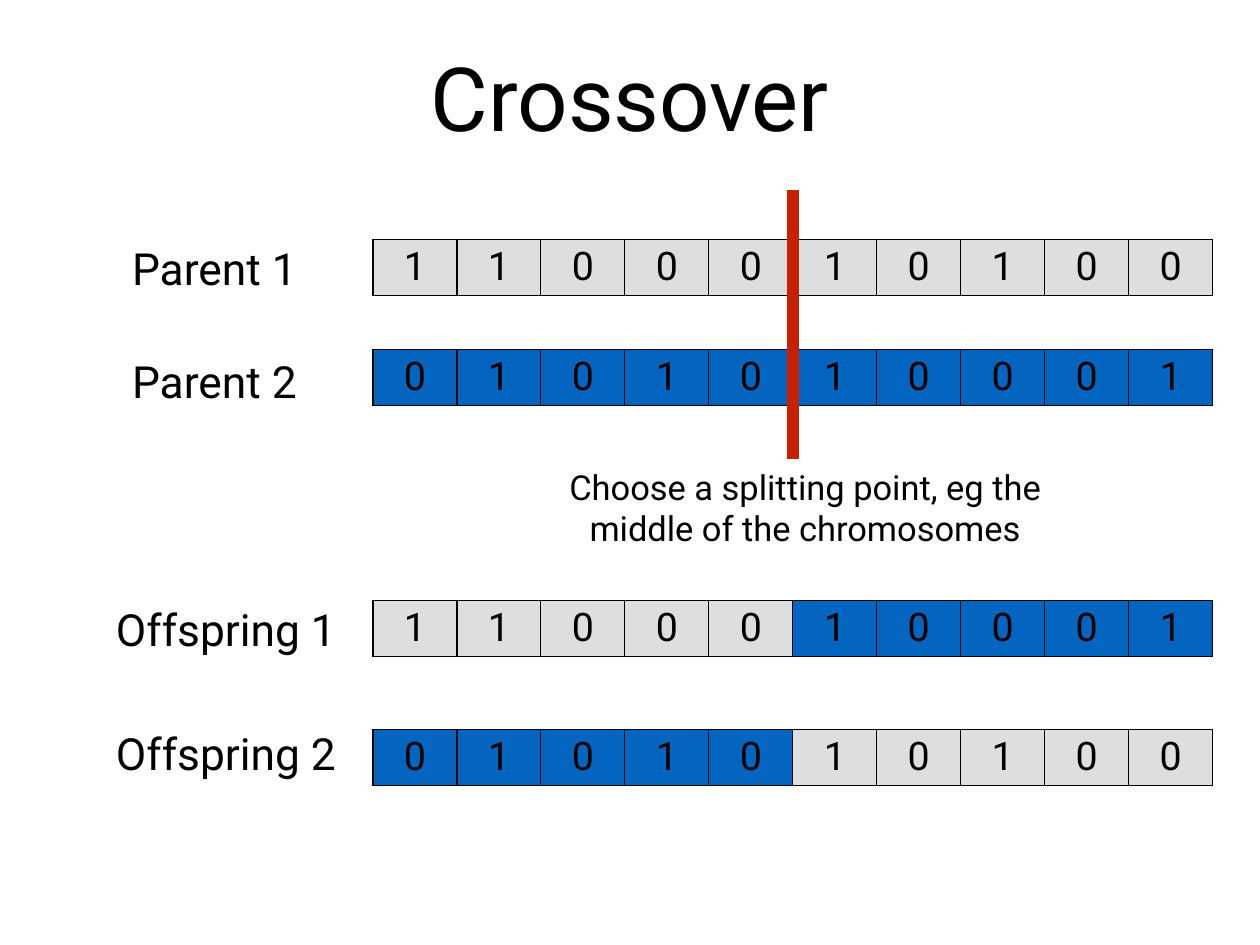
from dataclasses import dataclass

from lxml import etree
from pptx import Presentation
from pptx import util as u
from pptx.dml.color import RGBColor
from pptx.enum import shapes, text
from pptx.oxml import ns

FONT = "Roboto"
BLACK, GREY, BLUE, RED = "000000", "DCDEE0", "0365C0", "C82101"
GENE_WIDTH, GENE_HEIGHT = 0.948, 0.63
CHROMOSOME_LEFT = 4.21
SPLIT = 5


@dataclass(frozen=True)
class Gene:
    bit: str
    fill: str


@dataclass(frozen=True)
class Individual:
    name: str
    genes: list[Gene]
    top: float
    label_left: float
    label_top: float


def color(value: str) -> RGBColor:
    return RGBColor.from_string(value)


def format_paragraph(paragraph, size: float) -> None:
    paragraph.alignment = text.PP_ALIGN.CENTER
    for run in paragraph.runs:
        run.font.name = FONT
        run.font.size = u.Pt(size)
        run.font.color.rgb = color(BLACK)


def add_label(slide, wording: str, left: float, top: float,
              width: float, height: float, size: float) -> None:
    label = slide.shapes.add_textbox(u.Inches(left), u.Inches(top),
                                     u.Inches(width), u.Inches(height))
    frame = label.text_frame
    frame.text = wording
    frame.word_wrap = True
    frame.vertical_anchor = text.MSO_ANCHOR.MIDDLE
    frame.margin_left = frame.margin_right = u.Inches(0.06)
    frame.margin_top = frame.margin_bottom = u.Inches(0.06)
    format_paragraph(frame.paragraphs[0], size)


def add_borders(cell) -> None:
    properties = cell._tc.get_or_add_tcPr()
    for position, side in enumerate(("lnL", "lnR", "lnT", "lnB")):
        border = etree.Element(ns.qn(f"a:{side}"), w=str(u.Pt(1)))
        fill = etree.SubElement(border, ns.qn("a:solidFill"))
        etree.SubElement(fill, ns.qn("a:srgbClr"), val=BLACK)
        properties.insert(position, border)


def add_chromosome(slide, genes: list[Gene], top: float) -> None:
    chromosome = slide.shapes.add_table(
        1, len(genes), u.Inches(CHROMOSOME_LEFT), u.Inches(top),
        u.Inches(GENE_WIDTH * len(genes)), u.Inches(GENE_HEIGHT)).table
    chromosome.first_row = chromosome.horz_banding = False
    for column, gene in enumerate(genes):
        cell = chromosome.cell(0, column)
        cell.text_frame.text = gene.bit
        format_paragraph(cell.text_frame.paragraphs[0], 32)
        cell.fill.solid()
        cell.fill.fore_color.rgb = color(gene.fill)
        add_borders(cell)


def add_split_line(slide) -> None:
    x = u.Inches(CHROMOSOME_LEFT + SPLIT * GENE_WIDTH)
    split_line = slide.shapes.add_connector(
        shapes.MSO_CONNECTOR.STRAIGHT, x, u.Inches(2.14), x, u.Inches(5.18))
    split_line.line.color.rgb = color(RED)
    split_line.line.width = u.Pt(10)
    etree.SubElement(split_line._element.spPr, ns.qn("a:effectLst"))


def main() -> None:
    deck = Presentation()
    deck.slide_width, deck.slide_height = u.Inches(14.22), u.Inches(10.67)
    slide = deck.slides.add_slide(deck.slide_layouts[6])

    # Parents, and offspring that swap the genes after the split
    first = [Gene(bit, GREY) for bit in "1100010100"]
    second = [Gene(bit, BLUE) for bit in "0101010001"]
    individuals = [
        Individual("Parent 1", first, 2.7, 0.91, 2.66),
        Individual("Parent 2", second, 3.95, 0.91, 3.94),
        Individual("Offspring 1", first[:SPLIT] + second[SPLIT:], 6.78, 1.04, 6.74),
        Individual("Offspring 2", second[:SPLIT] + first[SPLIT:], 8.24, 1.04, 8.14),
    ]

    # Title
    add_label(slide, "Crossover", 1.04, 0.49, 12.14, 1.2, 72)

    # Chromosomes with their names
    for individual in individuals:
        add_chromosome(slide, individual.genes, individual.top)
        add_label(slide, individual.name, individual.label_left,
                  individual.label_top, 3.02, 0.72, 36)

    # Splitting point
    add_split_line(slide)
    add_label(slide, "Choose a splitting point, eg the middle of the chromosomes",
              5.82, 5.2, 6.53, 1.05, 28)

    deck.save("out.pptx")


if __name__ == "__main__":
    main()
